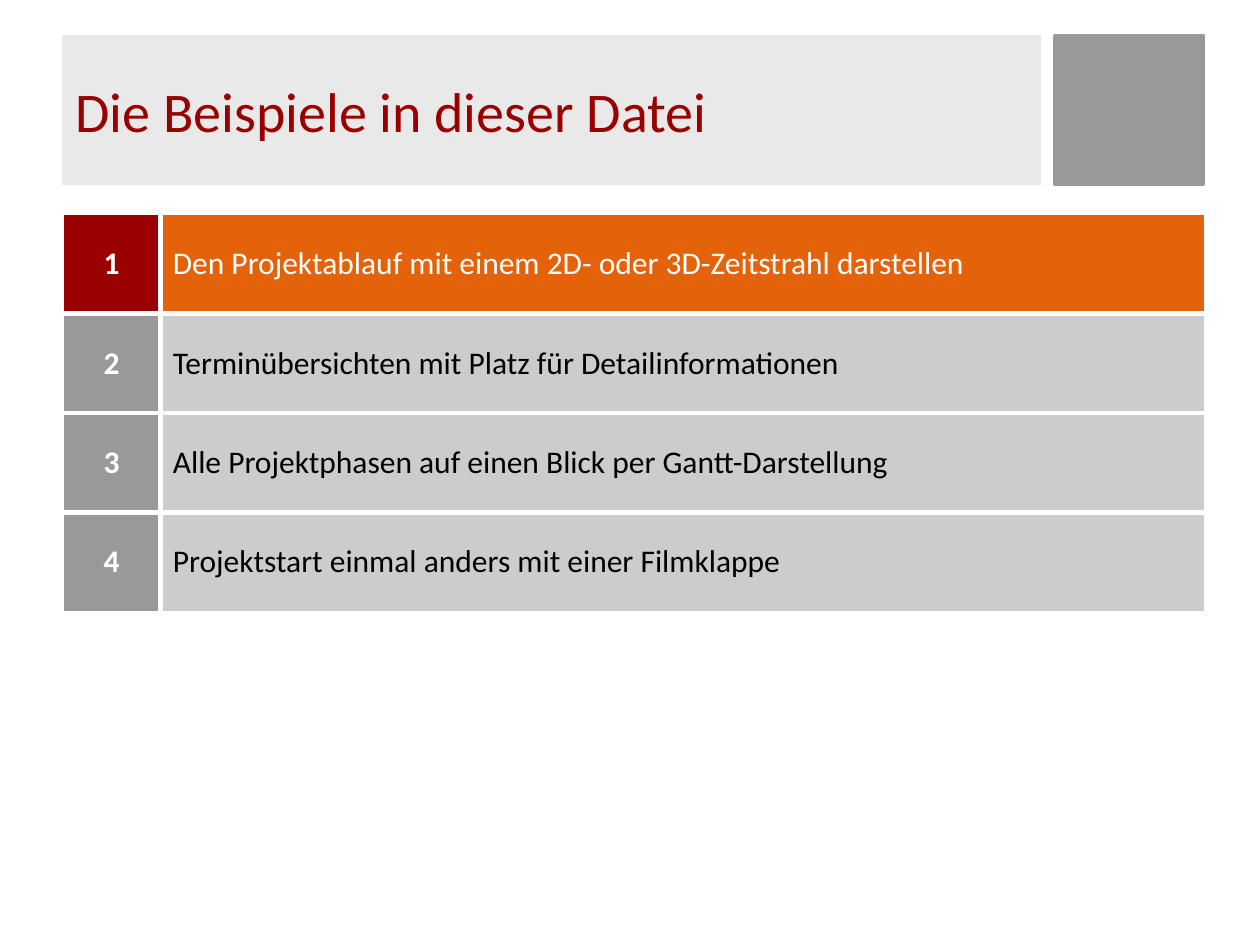
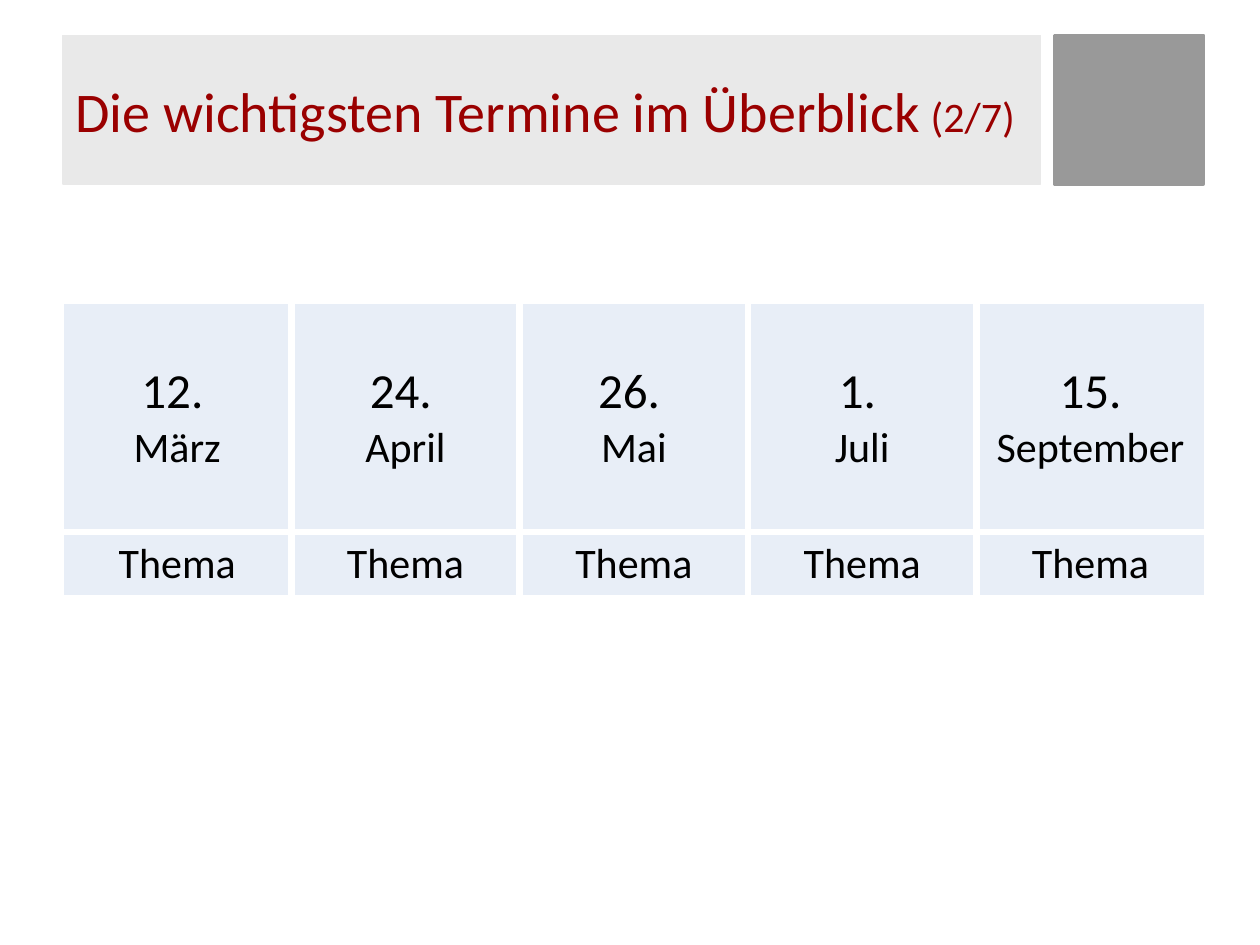
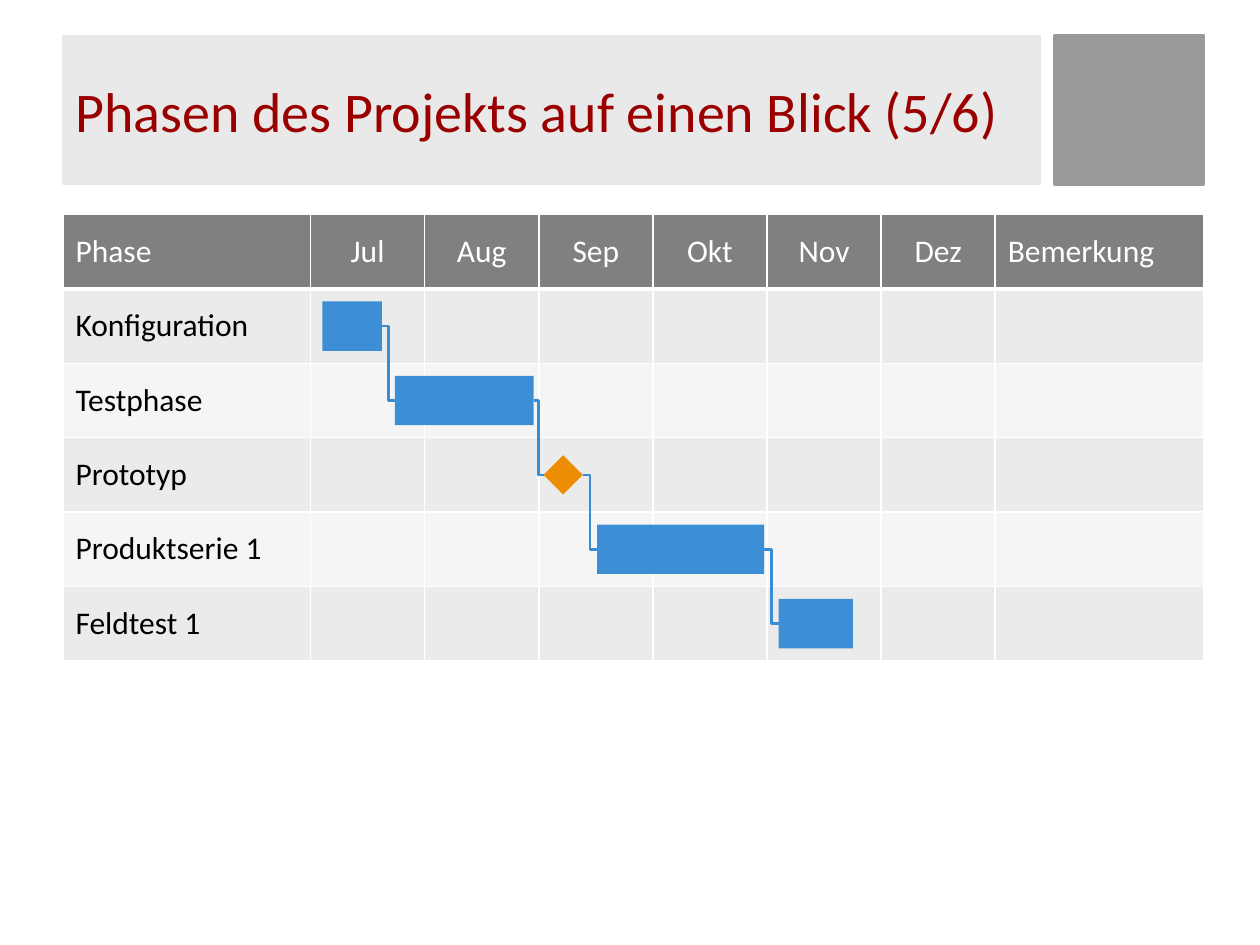
from lxml.etree import Element, SubElement
from pptx import Presentation
from pptx.dml.color import RGBColor
from pptx.enum.shapes import MSO_CONNECTOR, MSO_SHAPE
from pptx.enum.text import MSO_ANCHOR, PP_ALIGN
from pptx.oxml.ns import qn
from pptx.util import Pt

COLORS = {
    "red": "9A0000", "orange": "E3620A", "gray": "999999", "silver": "CCCCCC",
    "panel": "E9E9E9", "ice": "E8EEF7", "head": "808080", "odd": "EBEBEB",
    "even": "F5F5F5", "bar": "3C8FD4", "link": "378CD3", "gold": "ED8D03",
    "white": "FFFFFF", "black": "000000",
}
LEFT, TOP = 36, 122.6


def color(name):
    return RGBColor.from_string(COLORS[name])


def apply(target, values):
    for key, value in values.items():
        setattr(target, key, value)


class Deck:
    font = "Calibri"

    def __init__(self):
        self.file = Presentation()
        apply(self.file, {"slide_width": Pt(720), "slide_height": Pt(540)})
        self.slide = None

    def page(self, *title):
        self.slide = self.file.slides.add_slide(self.file.slide_layouts[6])
        self.shape(602.6, 20.2, 85, 85, "gray", edge=2)
        panel = self.shape(LEFT, 20.2, 558.7, 85, "panel", edge=0.75)
        apply(panel.text_frame, {"word_wrap": True, "vertical_anchor": MSO_ANCHOR.MIDDLE})
        self.label(panel.text_frame, title, "red")

    def shape(self, left, top, width, height, fill, kind=MSO_SHAPE.RECTANGLE, edge=0):
        item = self.slide.shapes.add_shape(kind, Pt(left), Pt(top), Pt(width), Pt(height))
        item.shadow.inherit = False
        item.fill.solid()
        item.fill.fore_color.rgb = color(fill)
        if edge:
            item.line.color.rgb = color(fill)
            item.line.width = Pt(edge)
        else:
            item.line.fill.background()
        return item

    def label(self, frame, runs, ink, align=PP_ALIGN.LEFT, bold=False):
        para = frame.paragraphs[0]
        para.alignment = align
        for text, size in runs:
            for count, part in enumerate(text.split("\n")):
                if count:
                    para.add_line_break()
                run = para.add_run()
                run.text = part
                apply(run.font, {"name": self.font, "size": Pt(size), "bold": bold})
                run.font.color.rgb = color(ink)

    def table(self, top, widths, heights, rows, look, across, down):
        table = self.slide.shapes.add_table(
            len(heights), len(widths), Pt(LEFT), Pt(top), Pt(sum(widths)), Pt(sum(heights))
        ).table
        apply(table, {"first_row": False, "horz_banding": False})
        for col, width in zip(table.columns, widths):
            col.width = Pt(width)
        for row, height in zip(table.rows, heights):
            row.height = Pt(height)
        for y, row in enumerate(rows):
            for x, runs in enumerate(row):
                cell = table.cell(y, x)
                fill, style = look(y, x)
                cell.vertical_anchor = MSO_ANCHOR.MIDDLE
                cell.fill.solid()
                cell.fill.fore_color.rgb = color(fill)
                self.label(cell.text_frame, runs, **style)
                self.frame(cell, (across[x], across[x + 1], down[y], down[y + 1]))

    def frame(self, cell, widths):
        props = cell._tc.get_or_add_tcPr()
        for spot, (side, width) in enumerate(zip("LRTB", widths)):
            line = Element(qn(f"a:ln{side}"), w=str(Pt(width)))
            fill = SubElement(line, qn("a:solidFill"))
            SubElement(fill, qn("a:srgbClr"), val=COLORS["white"])
            props.insert(spot, line)

    def link(self, first, second):
        line = self.slide.shapes.add_connector(MSO_CONNECTOR.ELBOW, 0, 0, 0, 0)
        line.begin_connect(first, 3)
        line.end_connect(second, 1)
        line.line.color.rgb = color("link")
        line.line.width = Pt(1.5)
        SubElement(line._element.spPr, qn("a:effectLst"))


def topics(deck):
    deck.page(("Die Beispiele in dieser Datei", 32))
    items = [
        "Den Projektablauf mit einem 2D- oder 3D-Zeitstrahl darstellen",
        "Terminübersichten mit Platz für Detailinformationen",
        "Alle Projektphasen auf einen Blick per Gantt-Darstellung",
        "Projektstart einmal anders mit einer Filmklappe",
    ]
    rows = [[[(str(count), 18)], [(item, 18)]] for count, item in enumerate(items, 1)]

    def look(y, x):
        if x == 0:
            fill = "gray" if y else "red"
            return fill, {"ink": "white", "align": PP_ALIGN.CENTER, "bold": True}
        return ("silver", {"ink": "black"}) if y else ("orange", {"ink": "white"})

    deck.table(TOP, [55.6, 597], [56.7] * 4, rows, look, [1, 3, 1], [1, 3, 3, 3, 1])


def dates(deck):
    deck.page(("Die wichtigsten Termine im Überblick", 32), (" (2/7)", 24))
    days = [("12.", " \nMärz"), ("24.", " \nApril"), ("26.", " \nMai"),
            ("1.", " \nJuli"), ("15.", " September")]
    rows = [[[(day, 28), (month, 24)] for day, month in days],
            [[("Thema", 24)] for _ in days]]

    def look(y, x):
        return "ice", {"ink": "black", "align": PP_ALIGN.CENTER}

    deck.table(173.5, [130.5] * 5, [130.5, 36], rows, look,
               [1, 4.5, 4.5, 4.5, 4.5, 1], [1, 4.5, 1])


def phases(deck):
    deck.page(("Phasen des Projekts auf einen Blick (5/6)", 32))
    months = ["Jul", "Aug", "Sep", "Okt", "Nov", "Dez"]
    plan = [("Konfiguration", 184.2, 34), ("Testphase", 225.6, 79.4),
            ("Prototyp", 310.6, 22.4), ("Produktserie 1", 341.2, 95.5),
            ("Feldtest 1", 445, 42.4)]
    step, tall = 42.5, 28.2
    rows = [[[(text, 18)] for text in ["Phase", *months, "Bemerkung"]]]
    rows += [[[(name, 18)]] + [[]] * 7 for name, _, _ in plan]

    def look(y, x):
        align = PP_ALIGN.CENTER if 0 < x < 7 else PP_ALIGN.LEFT
        if y == 0:
            return "head", {"ink": "white", "align": align}
        return "odd" if y % 2 else "even", {"ink": "black", "align": align}

    deck.table(TOP, [141.5] + [65.2] * 6 + [119], [step] * 6, rows, look,
               [1] * 9, [1, 3] + [1] * 5)
    marks = []
    for y, (name, left, width) in enumerate(plan, 1):
        middle = TOP + step * (y + 0.5)
        if name == "Prototyp":
            mark = deck.shape(left, middle - width / 2, width, width, "gold", MSO_SHAPE.DIAMOND)
        else:
            mark = deck.shape(left, middle - tall / 2, width, tall, "bar")
        marks.append(mark)
    for first, second in zip(marks, marks[1:]):
        deck.link(first, second)


def main():
    deck = Deck()
    for build in (topics, dates, phases):
        build(deck)
    deck.file.save("out.pptx")


if __name__ == "__main__":
    main()
